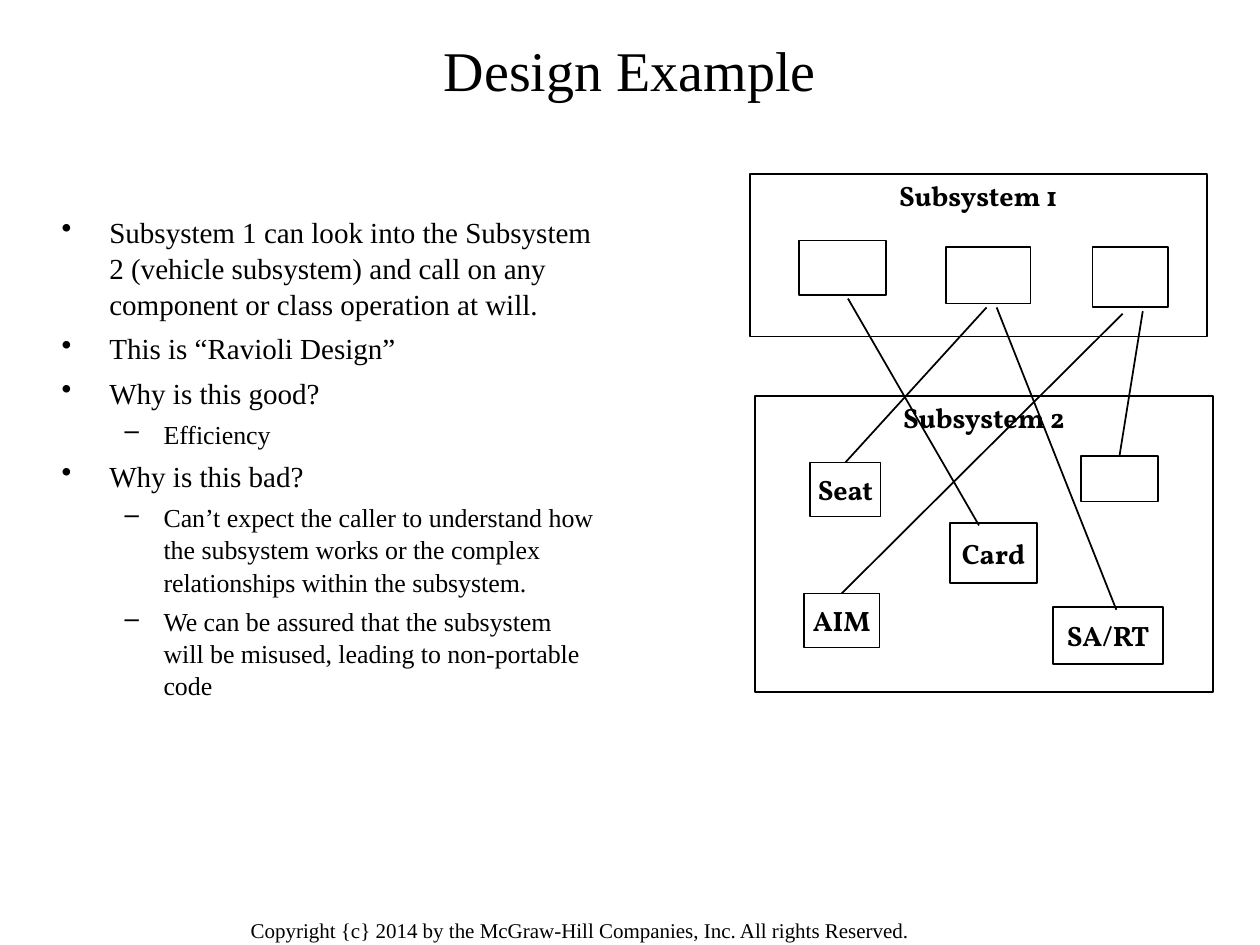
from pptx import Presentation
from pptx.dml.color import RGBColor
from pptx.enum.shapes import MSO_CONNECTOR, MSO_SHAPE
from pptx.enum.text import MSO_ANCHOR, PP_ALIGN
from pptx.oxml.ns import qn
from pptx.util import Inches, Pt
from lxml import etree

BLACK = RGBColor(0, 0, 0)
WHITE = RGBColor(255, 255, 255)
SERIF, LABEL = "Times New Roman", "Vollkorn"
RECT, LINE = MSO_SHAPE.RECTANGLE, MSO_CONNECTOR.STRAIGHT
TOP, MIDDLE, CENTER = MSO_ANCHOR.TOP, MSO_ANCHOR.MIDDLE, PP_ALIGN.CENTER

POINTS = [
    (0, "Subsystem 1 can look into the Subsystem 2 (vehicle subsystem) "
        "and call on any component or class operation at will."),
    (0, "This is “Ravioli Design”"),
    (0, "Why is this good?"),
    (1, "Efficiency"),
    (0, "Why is this bad?"),
    (1, "Can’t expect the caller to understand how the subsystem works "
        "or the complex relationships within the subsystem."),
    (1, "We can be assured that the subsystem will be misused, "
        "leading to non-portable code"),
]
LEVELS = [("•", 0.38, 0.38, 16.6, 4.5), ("–", 0.81, 0.31, 14.8, 4)]

GROUPS = [
    ("Subsystem 2", 0.04, 1.76, 3.64, 2.35),
    ("Subsystem 1", 0, 0, 3.63, 1.29),
]
PARTS = {
    "aim": ("AIM", 0.43, 3.33, 0.6, 0.43),
    "card": ("Card", 1.59, 2.77, 0.69, 0.48),
    "plain": ("", 2.63, 2.24, 0.61, 0.36),
    "sart": ("SA/RT", 2.41, 3.44, 0.87, 0.45),
    "seat": ("Seat", 0.48, 2.29, 0.56, 0.43),
    "left": ("", 0.39, 0.53, 0.69, 0.43),
    "mid": ("", 1.56, 0.58, 0.67, 0.45),
    "right": ("", 2.72, 0.58, 0.6, 0.48),
}
CALLS = [
    (0.78, 0.99, 1.82, 2.79, None),
    (1.88, 1.06, 0.75, 2.3, "seat"),
    (2.96, 1.11, 0.72, 3.32, "aim"),
    (3.12, 1.09, 2.96, 2.24, "plain"),
    (1.96, 1.06, 2.91, 3.46, None),
]


def style(para, size, face=SERIF, bold=False):
    """Set the font of a paragraph."""
    font = para.font
    font.name, font.size, font.bold = face, Pt(size), bold
    font.color.rgb = BLACK


def add_title(slide, left, top, width, height):
    """Place and format the title."""
    title = slide.shapes.title
    title.left, title.top = Inches(left), Inches(top)
    title.width, title.height = Inches(width), Inches(height)
    frame = title.text_frame
    frame.text = "Design Example"
    frame.vertical_anchor = MIDDLE
    para = frame.paragraphs[0]
    para.alignment = CENTER
    style(para, 32)


def add_points(slide, left, top, width, height):
    """Write the bulleted points."""
    box = slide.shapes.add_textbox(
        Inches(left), Inches(top), Inches(width), Inches(height))
    frame = box.text_frame
    frame.word_wrap = True
    for i, (level, text) in enumerate(POINTS):
        mark, indent, hang, size, gap = LEVELS[level]
        para = frame.add_paragraph() if i else frame.paragraphs[0]
        para.text, para.level = text, level
        para.line_spacing = 1.04
        para.space_before = Pt(gap if i else 0)
        props = para._p.get_or_add_pPr()
        props.set("marL", str(Inches(indent)))
        props.set("indent", str(-Inches(hang)))
        etree.SubElement(props, qn("a:buChar")).set("char", mark)
        style(para, size)


def add_box(slide, text, left, top, width, height, anchor=MIDDLE):
    """Draw an outlined box with a bold label."""
    box = slide.shapes.add_shape(
        RECT, Inches(left), Inches(top), Inches(width), Inches(height))
    box.shadow.inherit = False
    box.fill.solid()
    box.fill.fore_color.rgb = WHITE
    box.line.color.rgb = BLACK
    box.line.width = Pt(1)
    if text:
        frame = box.text_frame
        frame.text = text
        frame.word_wrap = False
        frame.vertical_anchor = anchor
        frame.margin_left = frame.margin_right = Inches(0.09)
        frame.margin_top = frame.margin_bottom = Inches(0.04)
        para = frame.paragraphs[0]
        para.alignment = CENTER
        style(para, 16, LABEL, True)
    return box


def add_diagram(slide, left, top):
    """Draw the two subsystems, their parts and the calls between them."""
    for text, x, y, width, height in GROUPS:
        add_box(slide, text, left + x, top + y, width, height, TOP)
    boxes = {
        name: add_box(slide, text, left + x, top + y, width, height)
        for name, (text, x, y, width, height) in PARTS.items()
    }
    for x1, y1, x2, y2, goal in CALLS:
        call = slide.shapes.add_connector(
            LINE, Inches(left + x1), Inches(top + y1),
            Inches(left + x2), Inches(top + y2))
        if goal:
            call.end_connect(boxes[goal], 0)
        call.line.color.rgb = BLACK
        call.line.width = Pt(1)
        etree.SubElement(call._element.spPr, qn("a:effectLst"))


def add_footer(slide, left, top, width, height):
    """Write the copyright line."""
    box = slide.shapes.add_textbox(
        Inches(left), Inches(top), Inches(width), Inches(height))
    frame = box.text_frame
    frame.word_wrap = True
    frame.margin_left = frame.margin_right = Inches(0.11)
    frame.margin_top = frame.margin_bottom = Inches(0.06)
    frame.text = ("Copyright {c} 2014 by the McGraw-Hill Companies, Inc. "
                  "All rights Reserved.")
    style(frame.paragraphs[0], 12)


def main():
    """Build the slide and save it."""
    deck = Presentation()
    deck.slide_width, deck.slide_height = Inches(10), Inches(7.5)
    slide = deck.slides.add_slide(deck.slide_layouts[5])
    add_footer(slide, 1.88, 7.22, 6.19, 0.31)
    add_title(slide, 0.5, 0.17, 9, 0.75)
    add_points(slide, 0.39, 1.64, 4.43, 4.62)
    add_diagram(slide, 5.95, 1.38)
    deck.save("out.pptx")


if __name__ == "__main__":
    main()
